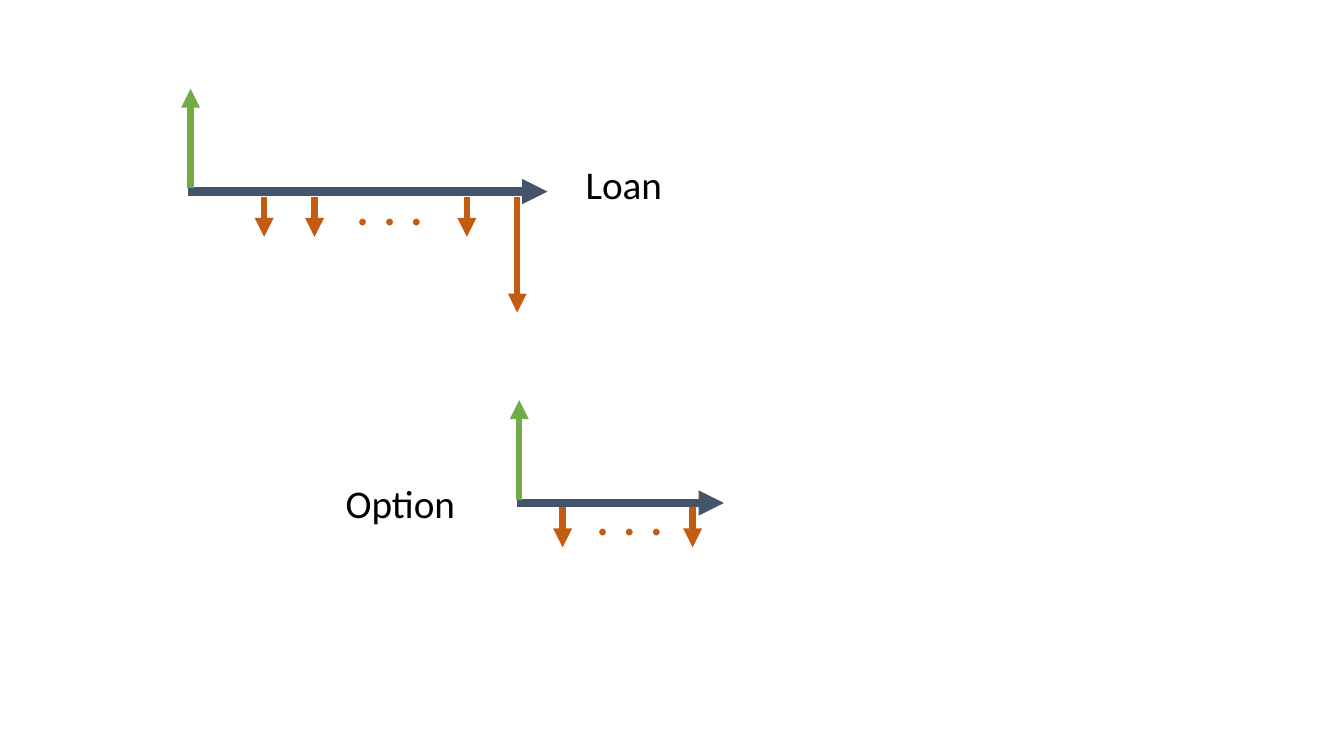
from lxml.etree import SubElement
from pptx import Presentation
from pptx.dml.color import RGBColor
from pptx.enum.shapes import MSO_CONNECTOR as Connector
from pptx.enum.text import MSO_AUTO_SIZE as AutoSize
from pptx.oxml.ns import qn
from pptx.util import Inches, Pt

COLORS = {
    "time": "44546A",
    "inflow": "70AD47",
    "outflow": "C55A11",
    "label": "000000",
}


class CashFlowSlide:
    font = "Calibri"
    flow_width = 4.5
    axis_width = 6
    payment_length = 0.4

    def __init__(self, slide):
        self.slide = slide

    def arrow(self, start, end, color, width):
        ends = [Inches(v) for v in (*start, *end)]
        connector = self.slide.shapes.add_connector(Connector.STRAIGHT, *ends)
        connector.line.color.rgb = RGBColor.from_string(COLORS[color])
        connector.line.width = Pt(width)
        SubElement(connector.line._get_or_add_ln(), qn("a:tailEnd"), type="triangle")
        SubElement(connector._element.spPr, qn("a:effectLst"))

    def time_axis(self, left, right, y):
        self.arrow((left, y), (right, y), "time", self.axis_width)

    def flow(self, x, start, end, color):
        self.arrow((x, start), (x, end), color, self.flow_width)

    def payments(self, positions, top):
        for x in positions:
            self.flow(x, top, top + self.payment_length, "outflow")

    def text(self, content, box, size, color):
        frame = self.slide.shapes.add_textbox(*[Inches(v) for v in box]).text_frame
        frame.word_wrap = True
        frame.auto_size = AutoSize.SHAPE_TO_FIT_TEXT
        run = frame.paragraphs[0].add_run()
        run.text = content
        style = {"name": self.font, "size": Pt(size)}
        for attribute, value in style.items():
            setattr(run.font, attribute, value)
        run.font.color.rgb = RGBColor.from_string(COLORS[color])

    def label(self, content, left, top, width):
        self.text(content, (left, top, width, 0.57), 28, "label")

    def ellipsis(self, left, top):
        self.text(". . .", (left, top, 0.89, 0.77), 40, "outflow")


def main():
    deck = Presentation()
    deck.slide_width, deck.slide_height = Inches(13.33), Inches(7.5)
    diagram = CashFlowSlide(deck.slides.add_slide(deck.slide_layouts[6]))

    diagram.flow(5.13, 1.95, 3.1, "outflow")
    diagram.time_axis(1.86, 5.43, 1.9)
    diagram.flow(1.89, 1.87, 0.88, "inflow")
    diagram.payments((2.62, 3.12, 4.63), 1.95)
    diagram.ellipsis(3.43, 1.63)
    diagram.label("Loan", 5.71, 1.54, 1.16)

    diagram.time_axis(5.13, 7.18, 4.99)
    diagram.flow(5.15, 4.96, 3.97, "inflow")
    diagram.payments((5.58, 6.87), 5.03)
    diagram.ellipsis(5.81, 4.71)
    diagram.label("Option", 3.33, 4.71, 2.05)

    deck.save("out.pptx")


if __name__ == "__main__":
    main()
